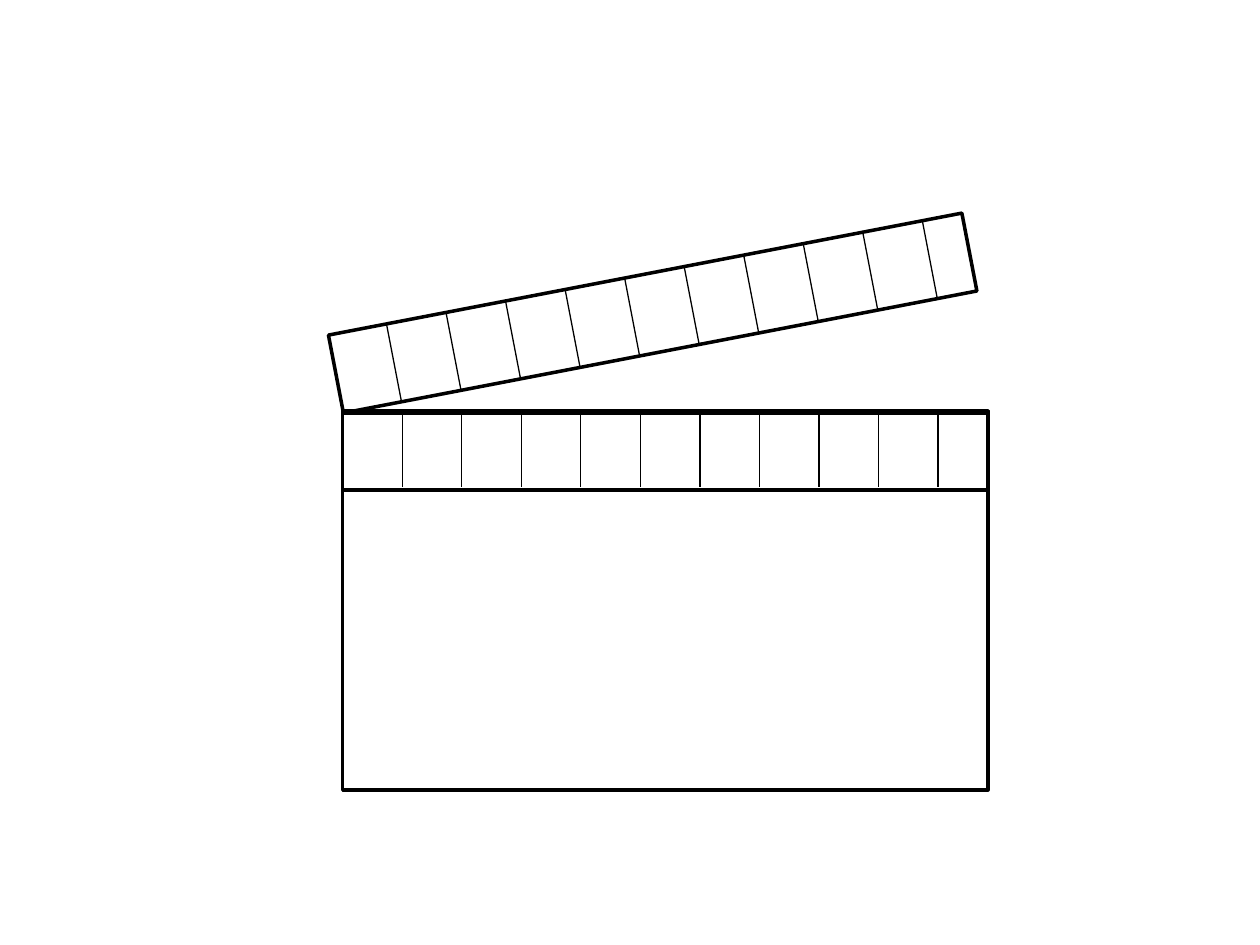
from math import cos, radians, sin

from lxml import etree
from pptx import Presentation
from pptx.dml.color import RGBColor
from pptx.enum.shapes import MSO_CONNECTOR, MSO_SHAPE
from pptx.oxml.ns import qn
from pptx.util import Pt

RECTANGLE = MSO_SHAPE.RECTANGLE
STRAIGHT = MSO_CONNECTOR.STRAIGHT
COLORS = {"ink": "000000", "board": "FFFFFF"}
DIVIDERS = 10
STEP = 34.02
TILT = -10.9


def add_panel(group, box, fill=None, rotation=0):
    """Add an outlined rectangle filling box, optionally filled and rotated."""
    panel = group.shapes.add_shape(RECTANGLE, *(Pt(length) for length in box))
    panel.shadow.inherit = False
    panel.rotation = rotation
    if fill:
        panel.fill.solid()
        panel.fill.fore_color.rgb = RGBColor.from_string(COLORS[fill])
    else:
        panel.fill.background()
    panel.line.color.rgb = RGBColor.from_string(COLORS["ink"])
    panel.line.width = Pt(2)


def add_divider(group, start, end):
    """Add a thin line between two points."""
    line = group.shapes.add_connector(STRAIGHT, *(Pt(length) for length in start + end))
    line.line.color.rgb = RGBColor.from_string(COLORS["ink"])
    line.line.width = Pt(0.75)
    etree.SubElement(line._element.spPr, qn("a:effectLst"))


def add_arm(group, box):
    """Add the raised arm, tilted about the centre of box, with its dividers."""
    left, top, width, height = box
    angle = radians(TILT)
    step = STEP / cos(angle)

    def turn(x, y):
        """Rotate a point given relative to the centre of the arm."""
        return (left + width / 2 + x * cos(angle) - y * sin(angle),
                top + height / 2 + x * sin(angle) + y * cos(angle))

    add_panel(group, box, rotation=360 + TILT)
    for index in range(DIVIDERS):
        x = 33.8 + index * step - width / 2
        add_divider(group, turn(x, -height / 2), turn(x, height / 2))


def add_band(group, box):
    """Add the level band with its upright dividers."""
    left, top, width, height = box
    add_panel(group, box)
    for index in range(1, DIVIDERS + 1):
        x = left + index * STEP
        add_divider(group, (x, top + 1.5), (x, top + height - 1.5))


def add_clapperboard(page, left, top):
    """Draw the clapperboard with the top left of its band at the given point."""
    width, height = 368.64, 45.36
    group = page.shapes.add_group_shape()
    add_panel(group, (left, top + 1.44, width, 215.28), fill="board")
    add_arm(group, (left - 7.2, top - 78.48, width, height))
    add_band(group, (left, top, width, height))


deck = Presentation()
deck.slide_width, deck.slide_height = Pt(720), Pt(540)
page = deck.slides.add_slide(deck.slide_layouts[6])
add_clapperboard(page, 195.84, 234.72)
deck.save("out.pptx")
